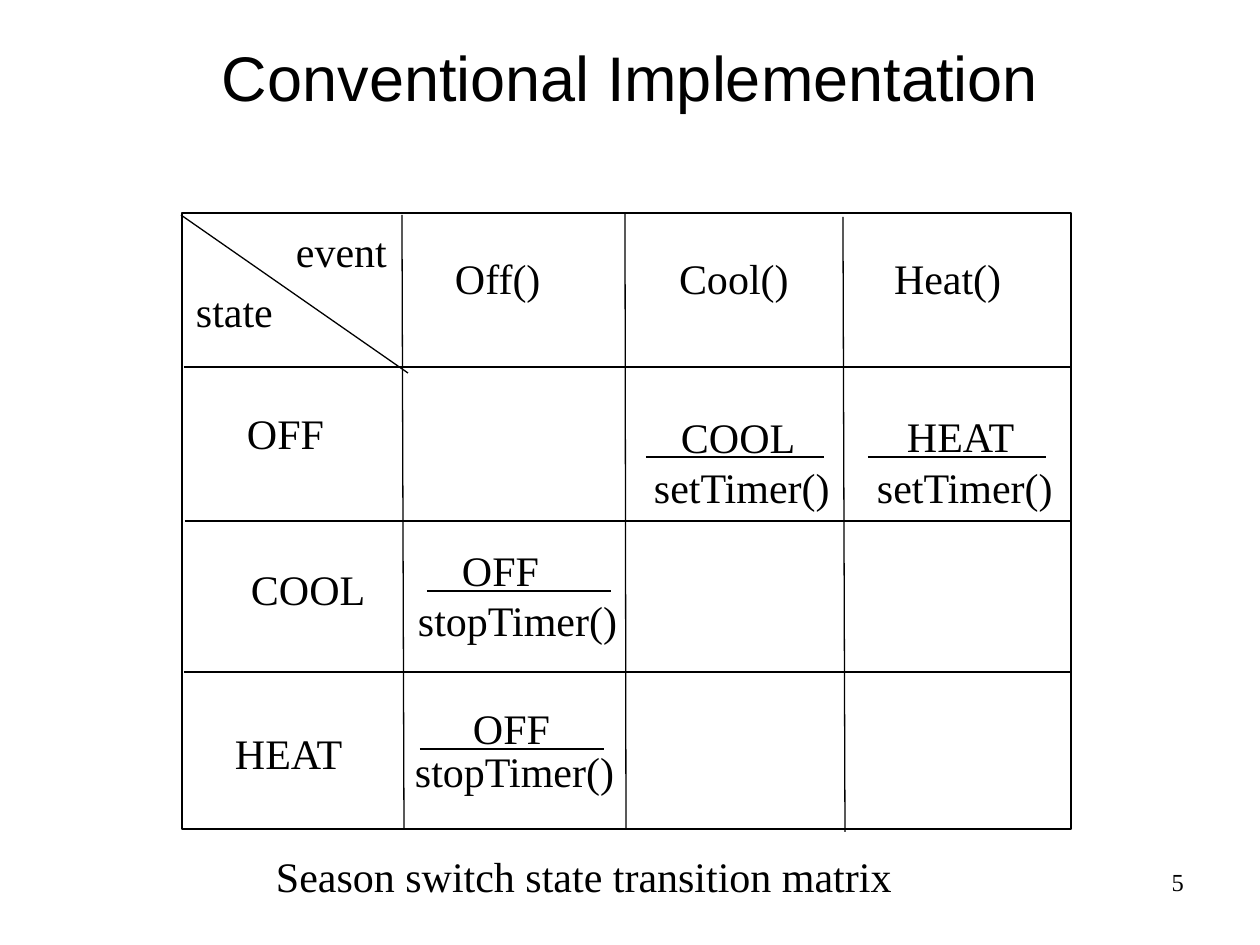
from lxml import etree
from pptx import Presentation
from pptx.dml.color import RGBColor
from pptx.enum.shapes import MSO_CONNECTOR as Conn, MSO_SHAPE as Shape
from pptx.enum.text import (MSO_ANCHOR as Anchor, MSO_AUTO_SIZE as Fit,
                            PP_ALIGN as Align)
from pptx.oxml.ns import qn
from pptx.util import Pt

PX = 914400 / 126
BLACK = RGBColor(0, 0, 0)

deck = Presentation()
deck.slide_width, deck.slide_height = round(1260 * PX), round(945 * PX)
slide = deck.slides.add_slide(deck.slide_layouts[6])
shapes = slide.shapes


def rule(*ends):
    line = shapes.add_connector(Conn.STRAIGHT, *[round(v * PX) for v in ends])
    line.line.color.rgb = BLACK
    line.line.width = Pt(0.75)
    etree.SubElement(line._element.spPr, qn("a:effectLst"))


def label(text, x, y, w, h=50, size=24, face="Times New Roman",
          align=Align.LEFT, anchor=Anchor.TOP, pad=(0, 0), wrap=False):
    box = shapes.add_textbox(*[round(v * PX) for v in (x, y, w, h)])
    frame = box.text_frame
    frame.word_wrap = wrap
    frame.auto_size = Fit.NONE if wrap else Fit.SHAPE_TO_FIT_TEXT
    frame.vertical_anchor = anchor
    side, edge = [round(v * PX) for v in pad]
    frame.margin_left = frame.margin_right = side
    frame.margin_top = frame.margin_bottom = edge
    para = frame.paragraphs[0]
    para.alignment = align
    run = para.add_run()
    run.text = text
    run.font.size = Pt(size)
    run.font.name = face
    run.font.color.rgb = BLACK


# Title
label("Conventional Implementation", 63, 37, 1134, 78, 36, "Arial",
      Align.CENTER, Anchor.MIDDLE, (13, 6), True)

# Matrix frame
frame = shapes.add_shape(Shape.RECTANGLE,
                         *[round(v * PX) for v in (182, 213, 889, 616)])
frame.shadow.inherit = False
frame.fill.background()
frame.line.color.rgb = BLACK
frame.line.width = Pt(0.75)

# Rows and columns
for x, y in [(184, 367), (185, 521), (184, 672)]:
    rule(x, y, x + 886, y)
for x, y, end in [(402, 215, 404), (625, 213, 626), (843, 217, 845)]:
    rule(x, y, end, y + 615)

# Corner cell
rule(181, 215, 408, 373)
label("event", 296, 226, 91)
label("state", 196, 286, 77)

# Events
for text, x, w in [("Off()", 455, 87), ("Cool()", 679, 110),
                   ("Heat()", 894, 108)]:
    label(text, x, 253, w)

# States
for text, x, y, w in [("OFF", 247, 408, 78), ("COOL", 251, 564, 115),
                      ("HEAT", 235, 728, 112)]:
    label(text, x, y, w)

# Transitions: next state over action
for state, x, y, w, left, mid, span, act, ax, ay, aw in [
    ("COOL", 681, 412, 115, 646, 457, 178, "setTimer()", 654, 462, 178),
    ("HEAT", 907, 411, 112, 868, 457, 178, "setTimer()", 877, 462, 178),
    ("OFF", 462, 545, 78, 427, 591, 184, "stopTimer()", 418, 595, 200),
    ("OFF", 473, 703, 78, 420, 749, 184, "stopTimer()", 415, 746, 200),
]:
    label(state, x, y, w)
    rule(left, mid, left + span, mid)
    label(act, ax, ay, aw)

# Caption and page number
label("Season switch state transition matrix", 276, 851, 616)
label("5", 903, 861, 294, 66, 14, align=Align.RIGHT, pad=(13, 6), wrap=True)

deck.save("out.pptx")
